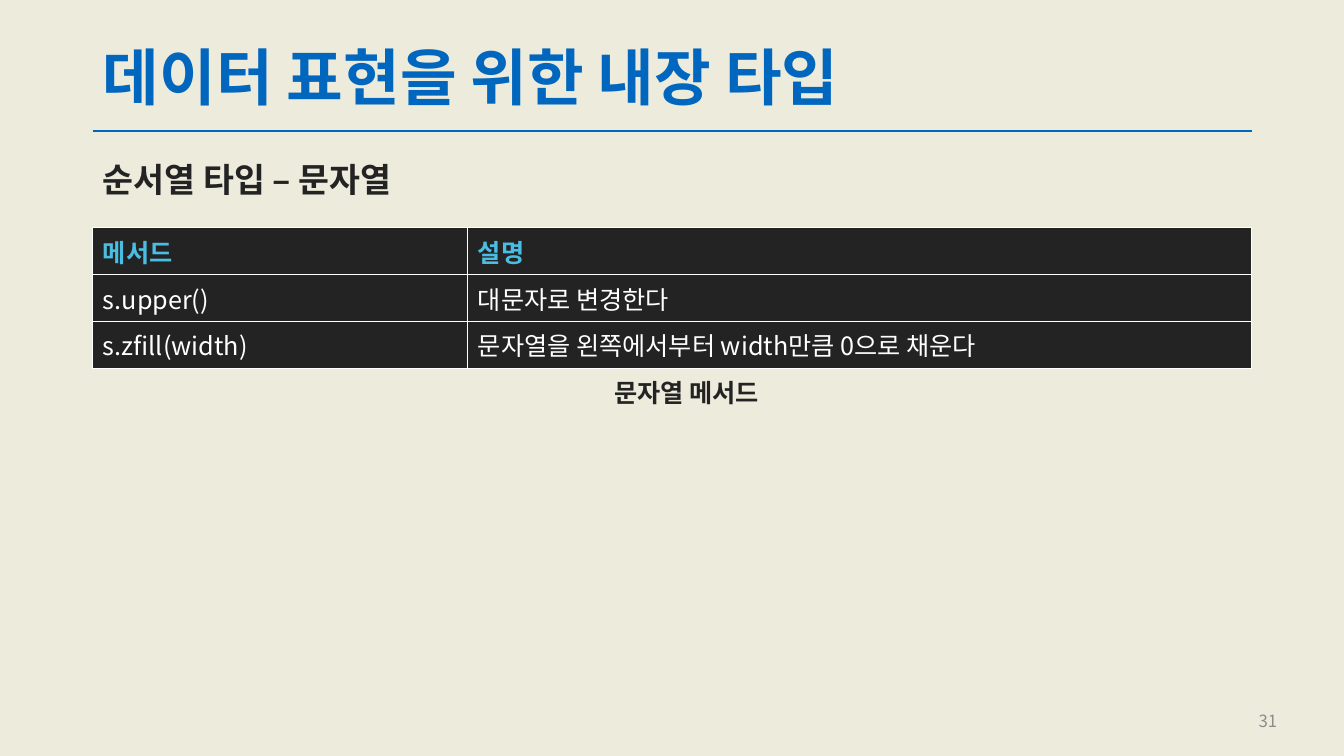
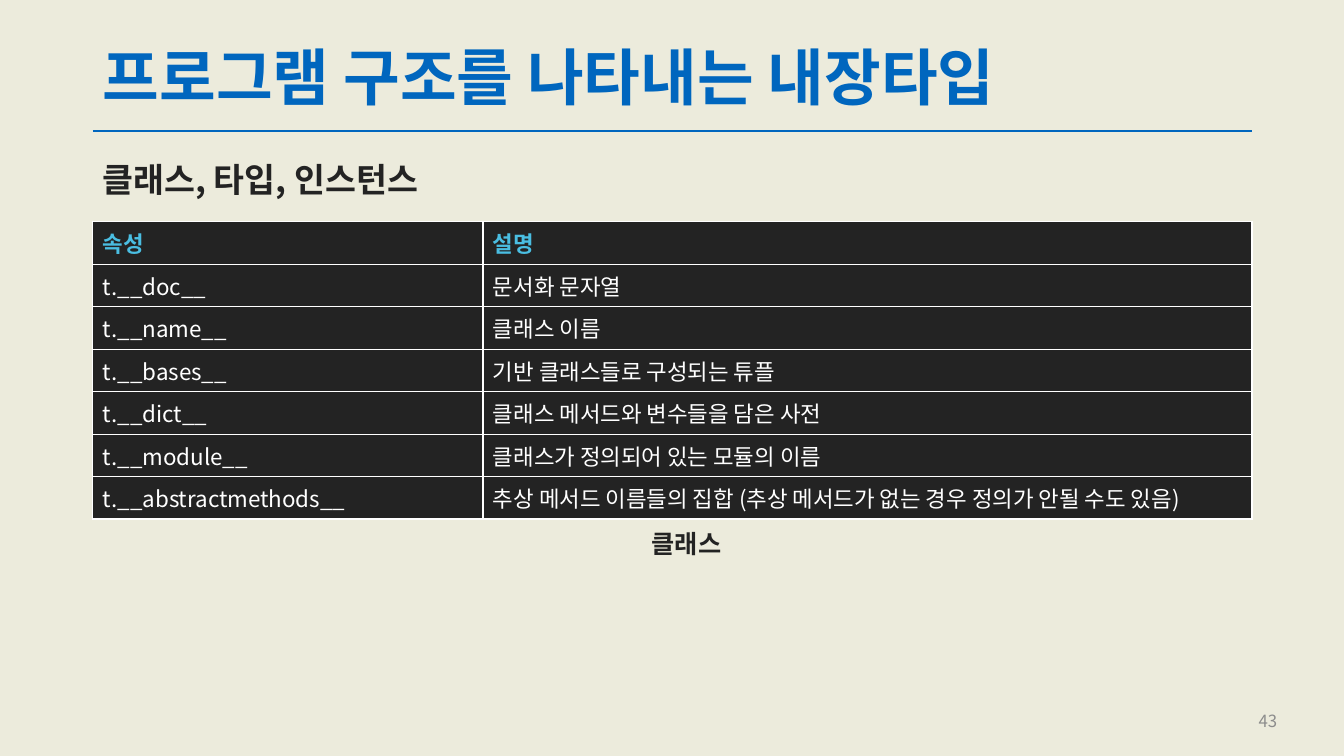
from dataclasses import dataclass

from lxml import etree
from pptx import Presentation
from pptx.dml.color import RGBColor
from pptx.enum.shapes import MSO_CONNECTOR
from pptx.enum.text import MSO_ANCHOR, PP_ALIGN
from pptx.oxml.ns import qn
from pptx.util import Cm, Pt

STRAIGHT = MSO_CONNECTOR.STRAIGHT
TOP, MIDDLE = MSO_ANCHOR.TOP, MSO_ANCHOR.MIDDLE
LEFT, CENTER, RIGHT = PP_ALIGN.LEFT, PP_ALIGN.CENTER, PP_ALIGN.RIGHT


@dataclass(frozen=True)
class Theme:
    font: str = "Noto Sans CJK KR"
    paper: str = "ECEBDC"
    blue: str = "0066BE"
    dark: str = "232323"
    cyan: str = "4ABEE2"
    white: str = "FFFFFF"
    gray: str = "8C8C8C"
    title: int = 44
    head: int = 24
    label: int = 18
    page: int = 12
    left: float = 2.34
    width: float = 29.21


THEME = Theme()

STRINGS = [
    ("메서드", "설명"),
    ("s.upper()", "대문자로 변경한다"),
    ("s.zfill(width)", "문자열을 왼쪽에서부터 width만큼 0으로 채운다"),
]
CLASSES = [
    ("속성", "설명"),
    ("t.__doc__", "문서화 문자열"),
    ("t.__name__", "클래스 이름"),
    ("t.__bases__", "기반 클래스들로 구성되는 튜플"),
    ("t.__dict__", "클래스 메서드와 변수들을 담은 사전"),
    ("t.__module__", "클래스가 정의되어 있는 모듈의 이름"),
    ("t.__abstractmethods__",
     "추상 메서드 이름들의 집합 (추상 메서드가 없는 경우 정의가 안될 수도 있음)"),
]


def add_run(para, text, size, color, bold=False):
    run = para.add_run()
    run.text = text
    font = run.font
    font.size, font.bold, font.name = Pt(size), bold, THEME.font
    font.color.rgb = RGBColor.from_string(color)
    # Hangul takes its typeface from the East Asian font
    east = etree.SubElement(font._element, qn("a:ea"))
    east.set("typeface", THEME.font)


def add_text(slide, box, text, size, color, bold=True, align=LEFT,
             anchor=MIDDLE, space=None, wrap=True):
    frame = slide.shapes.add_textbox(*map(Cm, box)).text_frame
    frame.word_wrap, frame.vertical_anchor = wrap, anchor
    para = frame.paragraphs[0]
    para.alignment, para.line_spacing = align, space
    add_run(para, text, size, color, bold)


def add_rule(slide):
    rule = slide.shapes.add_connector(
        STRAIGHT, Cm(THEME.left), Cm(3.3),
        Cm(THEME.left + THEME.width), Cm(3.3))
    rule.line.color.rgb = RGBColor.from_string(THEME.blue)
    rule.line.width = Pt(1.5)
    etree.SubElement(rule._element.spPr, qn("a:effectLst"))


def add_edges(cell):
    """Draw a thin white line on each side of the cell."""
    props = cell._tc.get_or_add_tcPr()
    for side in "LRTB":
        line = etree.SubElement(props, qn(f"a:ln{side}"), w=str(Pt(1)))
        fill = etree.SubElement(line, qn("a:solidFill"))
        etree.SubElement(fill, qn("a:srgbClr"), val=THEME.white)


def add_grid(slide, rows, top, first, high, size):
    """Add a two-column table and return the height of its lower edge."""
    tall = high * len(rows)
    table = slide.shapes.add_table(
        len(rows), 2, Cm(THEME.left), Cm(top), Cm(THEME.width), Cm(tall)).table
    for col, wide in zip(table.columns, (first, THEME.width - first)):
        col.width = Cm(wide)
    for r, row in enumerate(rows):
        table.rows[r].height = Cm(high)
        for c, text in enumerate(row):
            cell = table.cell(r, c)
            add_edges(cell)
            cell.fill.solid()
            cell.fill.fore_color.rgb = RGBColor.from_string(THEME.dark)
            cell.vertical_anchor = MIDDLE
            color = THEME.white if r else THEME.cyan
            add_run(cell.text_frame.paragraphs[0], text, size, color, r == 0)
    return top + tall


def add_page(deck, title, head, page, label, **grid):
    slide = deck.slides.add_slide(deck.slide_layouts[6])
    left, width = THEME.left, THEME.width
    add_rule(slide)
    add_text(slide, (left, 1.02, width, 2.03), title, THEME.title, THEME.blue,
             space=0.9)
    add_text(slide, (24.82, 17.65, 7.62, 1.02), page, THEME.page, THEME.gray,
             bold=False, align=RIGHT)
    add_text(slide, (left, 4, width, 1.3), head, THEME.head, THEME.dark,
             anchor=TOP, space=0.9)
    base = add_grid(slide, **grid)
    add_text(slide, (15, base + 0.1, 4.6, 1.02), label, THEME.label, THEME.dark,
             align=CENTER, anchor=TOP, wrap=False)


def main():
    deck = Presentation()
    deck.slide_width, deck.slide_height = Cm(33.87), Cm(19.05)
    paper = deck.slide_master.background.fill
    paper.solid()
    paper.fore_color.rgb = RGBColor.from_string(THEME.paper)
    add_page(deck, "데이터 표현을 위한 내장 타입", "순서열 타입 – 문자열", "31",
             "문자열 메서드", rows=STRINGS, top=5.74, first=9.45, high=1.18,
             size=18)
    add_page(deck, "프로그램 구조를 나타내는 내장타입", "클래스, 타입, 인스턴스", "43",
             "클래스", rows=CLASSES, top=5.59, first=9.83, high=1.07, size=16)
    deck.save("out.pptx")


if __name__ == "__main__":
    main()
